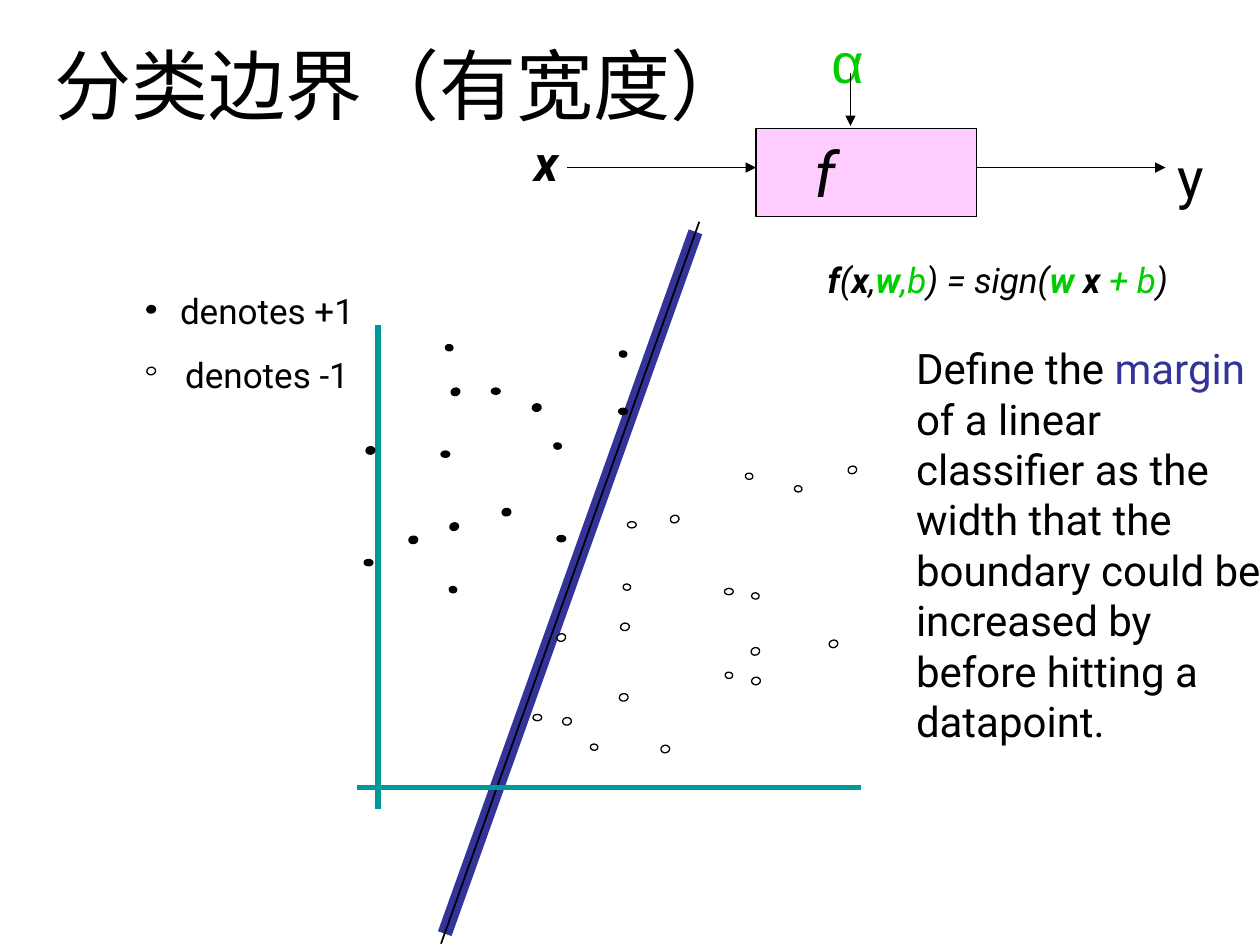
from dataclasses import dataclass
from typing import NamedTuple

import pptx
import pptx.dml.color
import pptx.enum.dml
import pptx.enum.shapes
import pptx.enum.text
import pptx.oxml
import pptx.oxml.ns
import pptx.util

Inches = pptx.util.Inches
Align = pptx.enum.text.PP_ALIGN
Anchor = pptx.enum.text.MSO_ANCHOR


@dataclass(frozen=True)
class Theme:
    ink: str = "000000"
    paper: str = "FFFFFF"
    parameter: str = "00CC00"
    margin: str = "333399"
    axis: str = "009999"
    box: str = "FFCCFF"
    latin: str = "Roboto"
    heading: str = "Arial"
    title: int = 44
    function: int = 36
    symbol: int = 32
    vector: int = 28
    definition: int = 24
    label: int = 20
    hairline: float = 0.75
    thin: float = 1
    axis_width: float = 3
    band_width: float = 8.25


THEME = Theme()


class Run(NamedTuple):
    text: str
    color: str = THEME.ink
    bold: bool = False


class Line(NamedTuple):
    start: tuple[float, float]
    end: tuple[float, float]
    color: str = THEME.ink
    width: float = THEME.thin
    arrow: bool = False


class DotCluster(NamedTuple):
    """Data points that share an outline size and a rotation."""
    size: tuple[float, float]
    rotation: float
    positive: list[tuple[float, float]]
    negative: list[tuple[float, float]]


def rgb(color: str):
    return pptx.dml.color.RGBColor.from_string(color)


def write(shape, *paragraphs: list[Run], size: int, font: str = THEME.latin,
          align=Align.CENTER, anchor=Anchor.TOP, italic: bool = False,
          gap: float = 0, right: float = 0.1) -> None:
    frame = shape.text_frame
    frame.word_wrap = True
    frame.auto_size = pptx.enum.text.MSO_AUTO_SIZE.NONE
    frame.vertical_anchor = anchor
    frame.margin_left, frame.margin_right = Inches(0.1), Inches(right)
    frame.margin_top = frame.margin_bottom = Inches(0.05)
    for index, runs in enumerate(paragraphs):
        paragraph = frame.add_paragraph() if index else frame.paragraphs[0]
        paragraph.alignment = align
        paragraph.space_before = pptx.util.Pt(gap if index else 0)
        for part in runs:
            run = paragraph.add_run()
            run.text = part.text
            run.font.name, run.font.size = font, pptx.util.Pt(size)
            run.font.bold, run.font.italic = part.bold, italic
            run.font.color.rgb = rgb(part.color)


def place(shape, left: float, top: float, width: float, height: float):
    shape.left, shape.top = Inches(left), Inches(top)
    shape.width, shape.height = Inches(width), Inches(height)
    return shape


def text_box(shapes, left: float, top: float, width: float, height: float):
    return shapes.add_textbox(*map(Inches, (left, top, width, height)))


def draw_line(shapes, line: Line) -> None:
    connector = shapes.add_connector(
        pptx.enum.shapes.MSO_CONNECTOR.STRAIGHT,
        *map(Inches, (*line.start, *line.end)))
    connector.line.color.rgb = rgb(line.color)
    connector.line.width = pptx.util.Pt(line.width)
    if line.arrow:
        head = pptx.oxml.parse_xml(
            f'<a:tailEnd {pptx.oxml.ns.nsdecls("a")} type="triangle"/>')
        connector.line._get_or_add_ln().append(head)
    connector._element.spPr.append(pptx.oxml.parse_xml(
        f'<a:effectLst {pptx.oxml.ns.nsdecls("a")}/>'))


def draw_shape(shapes, kind, left: float, top: float, width: float,
               height: float, fill: str, outline: float):
    shape = shapes.add_shape(kind, *map(Inches, (left, top, width, height)))
    shape.shadow.inherit = False
    shape.fill.solid()
    shape.fill.fore_color.rgb = rgb(fill)
    shape.line.color.rgb = rgb(THEME.ink)
    shape.line.width = pptx.util.Pt(outline)
    return shape


def draw_dots(shapes, cluster: DotCluster) -> None:
    for color, corners in ((THEME.ink, cluster.positive),
                           (THEME.paper, cluster.negative)):
        for corner in corners:
            dot = draw_shape(shapes, pptx.enum.shapes.MSO_SHAPE.OVAL, *corner,
                             *cluster.size, color, THEME.hairline)
            dot.rotation = cluster.rotation


BOUNDARY = [
    Line((3.53, 7.41), (5.52, 1.84), THEME.margin, THEME.band_width),
    Line((3.5, 7.49), (5.55, 1.76)),
]
FLOW = [
    Line((4.5, 1.33), (6, 1.33), arrow=True),
    Line((6.75, 0.58), (6.75, 1), arrow=True),
    Line((7.75, 1.33), (9.25, 1.33), arrow=True),
]
AXES = [
    Line((3, 2.58), (3, 6.42), THEME.axis, THEME.axis_width),
    Line((2.83, 6.25), (6.83, 6.25), THEME.axis, THEME.axis_width),
]
LEGEND_DOTS = DotCluster((0.06, 0.07), 79.6, [(1.17, 2.42)], [(1.17, 2.91)])
DATA = [
    DotCluster((0.07, 0.05), 0,
               [(2.89, 4.44), (4.91, 3.24), (3.9, 3.08), (4.42, 4.25), (3.5, 3.58)],
               [(4.23, 5.67), (4.98, 4.14), (5.75, 4.67)]),
    DotCluster((0.07, 0.06), 341.4,
               [(3.58, 3.08), (3.57, 4.15)],
               [(4.42, 5.03), (6.73, 3.7), (5.96, 5.14), (5.32, 4.09), (6.58, 5.08)]),
    DotCluster((0.05, 0.06), 98.2,
               [(4.4, 3.51), (3.57, 4.65), (4.92, 2.78), (3.54, 2.73)],
               [(4.69, 5.9), (5.97, 4.7), (4.95, 4.63), (6.31, 3.85),
                (5.92, 3.75), (5.76, 5.33)]),
    DotCluster((0.06, 0.07), 79.6,
               [(3.99, 4.03), (3.25, 4.25), (4.23, 3.2), (2.91, 3.54)],
               [(5.25, 5.91), (4.92, 5.5), (4.93, 4.94), (4.47, 5.69), (5.97, 5.37)]),
]
FORMULA = [
    Run("f", bold=True), Run("("), Run("x", bold=True), Run(","),
    Run("w", THEME.parameter, True), Run(",b", THEME.parameter),
    Run(") = sign("), Run("w", THEME.parameter, True), Run(" x", bold=True),
    Run(" + b", THEME.parameter), Run(")"),
]
DEFINITION = [
    Run("Define the "), Run("margin", THEME.margin),
    Run(" of a linear classifier as the width that the boundary could be "
        "increased by before hitting a datapoint."),
]


def main() -> None:
    deck = pptx.Presentation()
    deck.slide_width, deck.slide_height = Inches(10), Inches(7.5)
    slide = deck.slides.add_slide(deck.slide_layouts[1])
    shapes = slide.shapes

    # Title and definition
    title = place(shapes.title, 0.33, 0.33, 5.92, 0.75)
    write(title, [Run("分类边界（有宽度）")], size=THEME.title,
          font=THEME.heading, align=Align.LEFT, anchor=Anchor.BOTTOM)
    definition = place(slide.placeholders[1], 7.17, 2.67, 3, 3.3)
    properties = definition.text_frame.paragraphs[0]._p.get_or_add_pPr()
    properties.set("marL", "0")
    properties.set("indent", "0")
    properties.append(pptx.oxml.parse_xml(
        f'<a:buNone {pptx.oxml.ns.nsdecls("a")}/>'))
    write(definition, DEFINITION, size=THEME.definition, align=Align.LEFT)

    # Decision boundary with its margin
    boundary = shapes.add_group_shape()
    for line in BOUNDARY:
        draw_line(boundary.shapes, line)

    # Classifier diagram; the wide right inset moves f left of centre
    classifier = draw_shape(shapes, pptx.enum.shapes.MSO_SHAPE.RECTANGLE,
                            6, 1.02, 1.75, 0.7, THEME.box, THEME.thin)
    write(classifier, [Run("f")], size=THEME.function, italic=True,
          anchor=Anchor.MIDDLE, right=0.75)
    write(text_box(shapes, 4, 1, 0.67, 0.57), [Run("x", bold=True)],
          size=THEME.vector, italic=True)
    write(text_box(shapes, 6.5, 0.17, 0.42, 0.64), [Run("α", THEME.parameter)],
          size=THEME.symbol, font=THEME.heading)
    write(text_box(shapes, 9.25, 1.08, 0.92, 0.64), [Run("y")],
          size=THEME.symbol, align=Align.LEFT)
    write(text_box(shapes, 6.17, 2, 3.5, 0.44), FORMULA,
          size=THEME.label, italic=True)

    # Legend
    write(text_box(shapes, 1.08, 2.25, 2.08, 0.94), [Run("denotes +1")],
          [Run("denotes -1")], size=THEME.label, gap=12.5)

    # Arrows, axes and data points
    for line in FLOW + AXES:
        draw_line(shapes, line)
    for cluster in [LEGEND_DOTS, *DATA]:
        draw_dots(shapes, cluster)

    deck.save("out.pptx")


if __name__ == "__main__":
    main()
